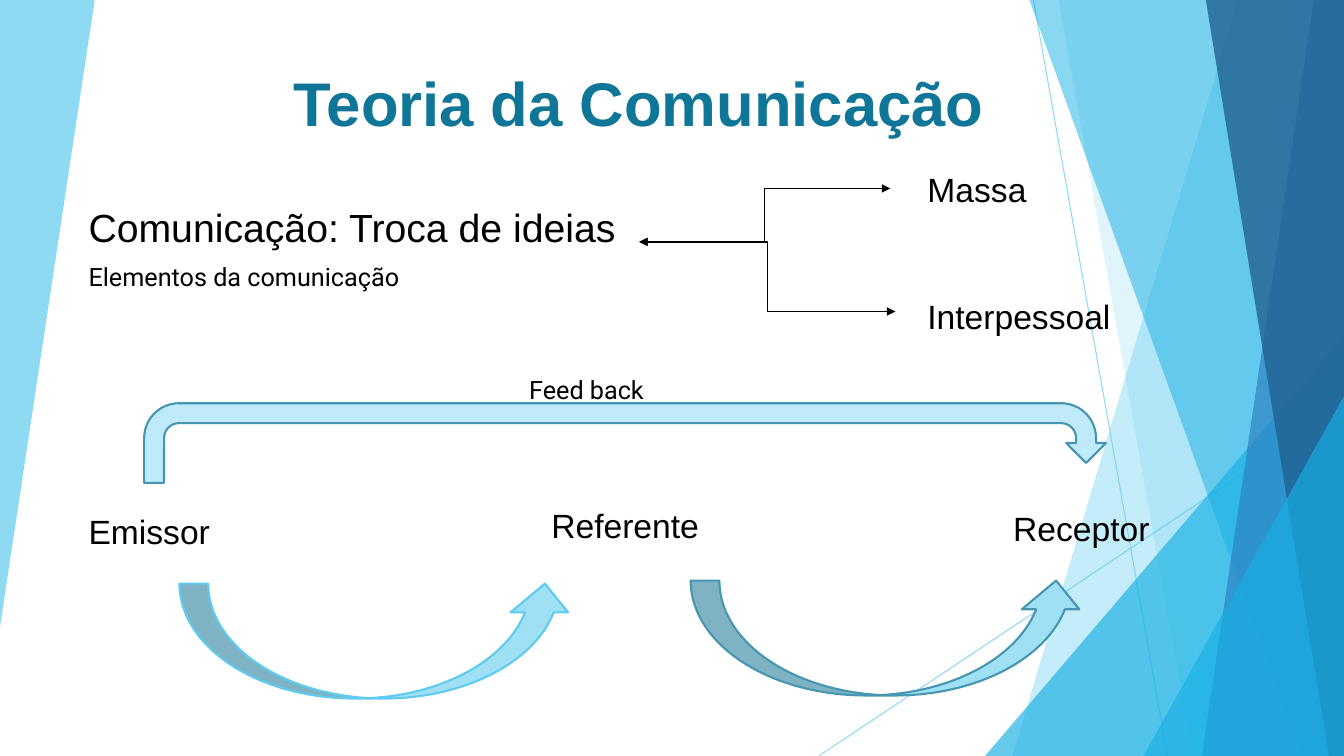
"""Build the slide on communication theory with its faceted blue backdrop."""
from lxml import etree
from pptx import Presentation, util as u
from pptx.dml.color import RGBColor
from pptx.enum import shapes, text
from pptx.oxml.ns import qn

COLORS = {
    "sky": "5FCBEF", "cyan": "17B0E4", "blue": "2E83C3", "navy": "226292",
    "title": "0F7698", "black": "000000", "edge": "4696B1",
    "pale": "BFEAF9", "light": "9FE0F5",
}
COLUMNS, ROWS = 13.33, 7.5
CELL = u.Inches(1)

presentation = Presentation()
presentation.slide_width = int(COLUMNS * CELL)
presentation.slide_height = int(ROWS * CELL)
slide = presentation.slides.add_slide(presentation.slide_layouts[6])


def grid(*cells):
    return [int(cell * CELL) for cell in cells]


def paint(shape, fill, opacity=100, line=None):
    shape.shadow.inherit = False
    shape.fill.solid()
    shape.fill.fore_color.rgb = RGBColor.from_string(COLORS[fill])
    if opacity < 100:
        color = shape.element.spPr.find(qn("a:solidFill"))[0]
        etree.SubElement(color, qn("a:alpha"), val=str(opacity * 1000))
    if line:
        shape.line.color.rgb = RGBColor.from_string(COLORS[line])
        shape.line.width = u.Pt(1.5)
    else:
        shape.line.fill.background()


connectors = []
for kind, ends, color, width in [
    ("STRAIGHT", (10.25, 0, 11.58, ROWS), "sky", 0.75),
    ("STRAIGHT", (COLUMNS, 4.03, 8.12, ROWS), "sky", 0.75),
    ("ELBOW", (6.34, 2.4, 8.88, 3.09), "black", 1),
    ("ELBOW", (6.34, 2.4, 8.83, 1.87), "black", 1),
]:
    connector = slide.shapes.add_connector(shapes.MSO_CONNECTOR[kind], *grid(*ends))
    connector.line.color.rgb = RGBColor.from_string(COLORS[color])
    connector.line.width = u.Pt(width)
    outline = connector.line._get_or_add_ln()
    if kind == "ELBOW":
        for end in ("headEnd", "tailEnd"):
            etree.SubElement(outline, qn(f"a:{end}"), type="triangle")
    else:
        color_element = outline.find(qn("a:solidFill"))[0]
        etree.SubElement(color_element, qn("a:alpha"), val="70000")
    etree.SubElement(connector.element.spPr, qn("a:effectLst"))

facets = [
    ("strip", 0.94, 6.22, "sky", 70),
    ("band", 12.28, 10.04, "sky", 36),
    ("band", 10.5, 11.83, "sky", 20),
    ("corner", 9.77, 3.33, "cyan", 66),
    ("band", 10.21, 12.91, "cyan", 50),
    ("band", 13.03, 11.92, "blue", 70),
    ("band", 11.96, 13.18, "navy", 80),
    ("corner", 11.34, 3.93, "cyan", 66),
]
for kind, first, second, color, opacity in facets:
    if kind == "corner":
        facet = slide.shapes.add_shape(
            shapes.MSO_SHAPE.ISOSCELES_TRIANGLE,
            *grid(first, second, COLUMNS - first, ROWS - second))
        facet.adjustments[0] = 1
    else:
        if kind == "strip":
            points = [(0, 0), (first, 0), (0, second)]
        else:
            points = [(first, 0), (COLUMNS, 0), (COLUMNS, ROWS), (second, ROWS)]
        start, *corners = [grid(*point) for point in points]
        builder = slide.shapes.build_freeform(*start)
        builder.add_line_segments(corners)
        facet = builder.convert_to_shape()
    paint(facet, color, opacity)

arrows = [
    ("CURVED_UP_ARROW", (6.85, 5.76, 3.91, 1.14), "light", "edge"),
    ("U_TURN_ARROW", (1.43, 4, 9.54, 0.79), "pale", "edge"),
    ("CURVED_UP_ARROW", (1.78, 5.79, 3.91, 1.14), "light", "sky"),
]
for preset, place, fill, line in arrows:
    arrow = slide.shapes.add_shape(shapes.MSO_SHAPE[preset], *grid(*place))
    paint(arrow, fill, line=line)

labels = [
    ("Teoria da Comunicação", (0.65, 0.59, 11.38, 0.84), 44, "Arial"),
    ("Comunicação: Troca de ideias", (0.78, 1.97, 6.19, 0.57), 28, "Arial"),
    ("Elementos da comunicação", (0.78, 2.54, 4.91, 0.4), 18, "Roboto"),
    ("Massa", (9.1, 1.63, 3.91, 0.5), 24, "Arial"),
    ("Interpessoal", (9.1, 2.89, 2.57, 0.5), 24, "Arial"),
    ("Emissor", (0.78, 5.02, 3.33, 0.5), 24, "Arial"),
    ("Referente", (5.37, 4.96, 3.33, 0.5), 24, "Arial"),
    ("Receptor", (9.95, 4.99, 3.38, 0.5), 24, "Arial"),
    ("Feed back", (5.15, 3.66, 2.55, 0.4), 18, "Roboto"),
]
for wording, place, size, font in labels:
    is_title = size == 44
    frame = slide.shapes.add_textbox(*grid(*place)).text_frame
    frame.word_wrap = True
    paragraph = frame.paragraphs[0]
    paragraph.text = wording
    paragraph.alignment = text.PP_ALIGN.CENTER if is_title else text.PP_ALIGN.LEFT
    paragraph.font.name = font
    paragraph.font.size = u.Pt(size)
    paragraph.font.bold = is_title
    paragraph.font.color.rgb = RGBColor.from_string(COLORS["title" if is_title else "black"])

presentation.save("out.pptx")
